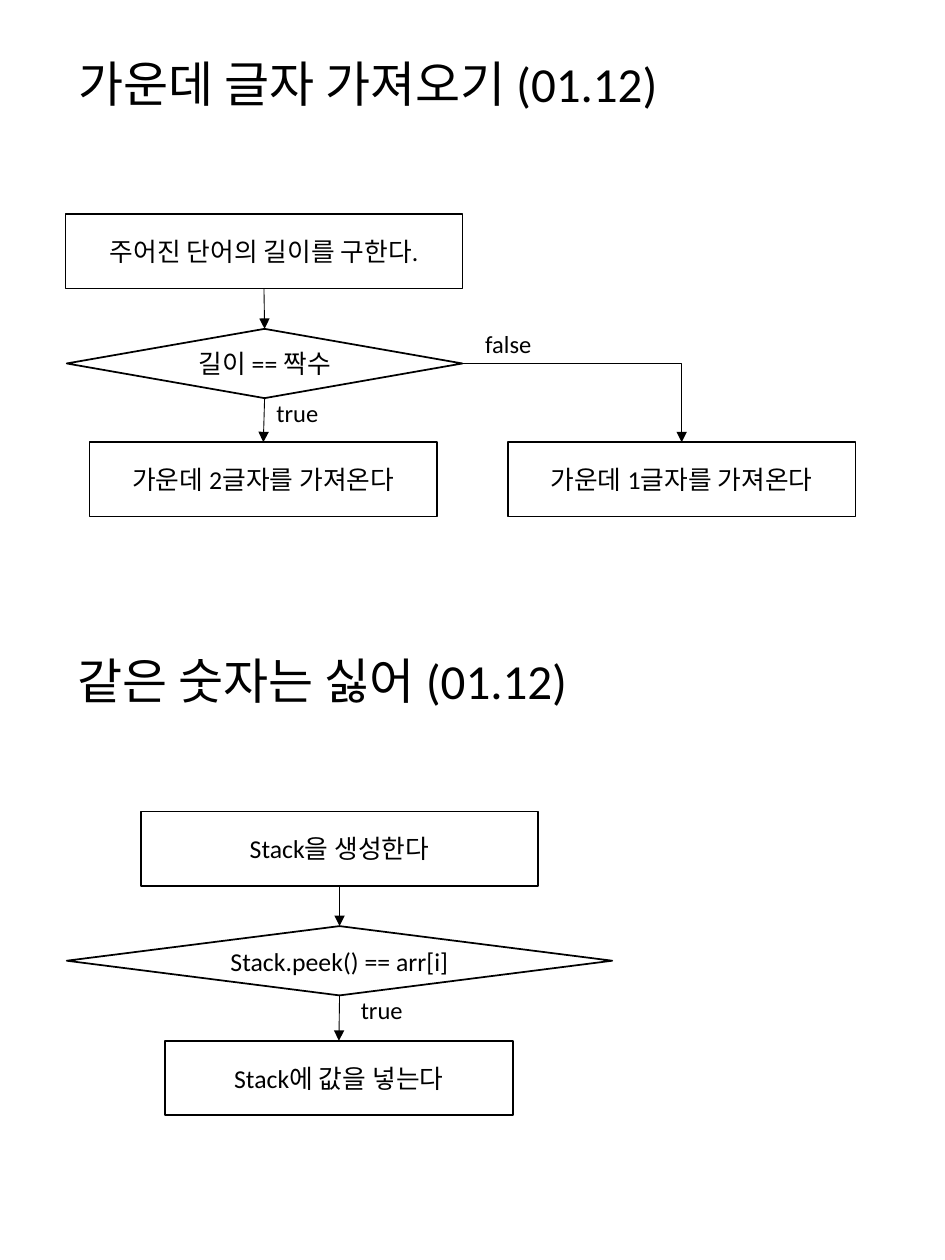
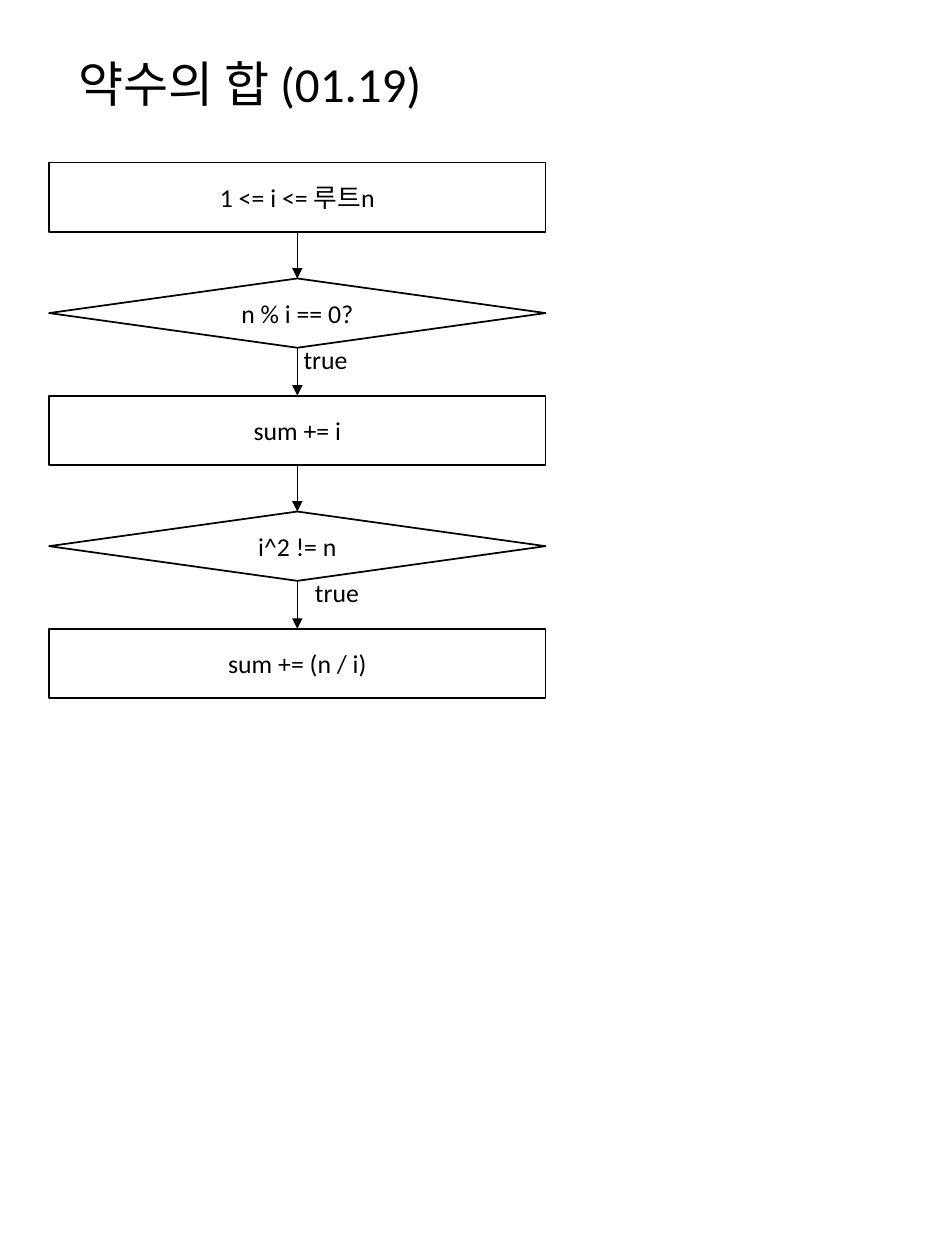
"""Build two slides of flow charts for coding exercises."""
import lxml.etree
import pptx
import pptx.dml.color
import pptx.enum.dml
import pptx.enum.shapes
import pptx.enum.text
import pptx.oxml.ns
import pptx.util

SCALE = 9144
BLACK = pptx.dml.color.RGBColor(0, 0, 0)
FONT = "Calibri"
BODY = 14.7
TITLE = (52, 38, 647, 61)
KIND = pptx.enum.shapes.MSO_SHAPE
LINK = pptx.enum.shapes.MSO_CONNECTOR
ALIGN = pptx.enum.text.PP_ALIGN
ANCHOR = pptx.enum.text.MSO_ANCHOR
FIT = pptx.enum.text.MSO_AUTO_SIZE
TOP, BOTTOM, RIGHT = 0, 2, 3


def px(*sizes):
    """Turn px lengths into EMU."""
    return [pptx.util.Emu(size * SCALE) for size in sizes]


def write(shape, text, size=BODY, align=ALIGN.CENTER, anchor=ANCHOR.MIDDLE,
          wrap=True, fit=FIT.NONE, inset=None, space=None):
    """Put formatted text into a shape."""
    frame = shape.text_frame
    frame.word_wrap = wrap
    frame.auto_size = fit
    frame.vertical_anchor = anchor
    if inset is not None:
        side = px(inset)[0]
        frame.margin_left = frame.margin_right = side
        frame.margin_top = frame.margin_bottom = side
    para = frame.paragraphs[0]
    para.text = text
    para.alignment = align
    if space:
        para.line_spacing = space
    para.font.size = pptx.util.Pt(size)
    para.font.name = FONT
    para.font.color.rgb = BLACK


def head(shape, text):
    """Format a shape as a heading."""
    write(shape, text, size=28, align=ALIGN.LEFT, space=0.9)


def start(deck, text):
    """Add a slide with its title."""
    slide = deck.slides.add_slide(deck.slide_layouts[5])
    title = slide.shapes.title
    title.left, title.top, title.width, title.height = px(*TITLE)
    head(title, text)
    return slide


def node(slide, kind, text, *area):
    """Add an outlined step or test."""
    shape = slide.shapes.add_shape(kind, *px(*area))
    shape.shadow.inherit = False
    shape.fill.background()
    shape.line.color.rgb = BLACK
    shape.line.width = pptx.util.Pt(1)
    write(shape, text)
    return shape


def arrow(slide, first, last, side=BOTTOM):
    """Join two nodes, with a bend when leaving from the right."""
    bent = side == RIGHT
    link = slide.shapes.add_connector(LINK.ELBOW if bent else LINK.STRAIGHT, 0, 0, 0, 0)
    link.begin_connect(first, side)
    link.end_connect(last, TOP)
    link.line.color.rgb = BLACK
    link.line.width = pptx.util.Pt(0.5)
    props = link._element.spPr
    if bent:
        props.find(pptx.oxml.ns.qn("a:prstGeom")).set("prst", "bentConnector2")
    tip = lxml.etree.SubElement(link.line._get_or_add_ln(), pptx.oxml.ns.qn("a:tailEnd"))
    tip.set("type", "triangle")
    lxml.etree.SubElement(props, pptx.oxml.ns.qn("a:effectLst"))


def chain(slide, nodes):
    """Join nodes from top to bottom."""
    for first, last in zip(nodes, nodes[1:]):
        arrow(slide, first, last)


def label(slide, text, *area, **style):
    """Add a branch label."""
    box = slide.shapes.add_textbox(*px(*area))
    write(box, text, anchor=ANCHOR.TOP, wrap=False, fit=FIT.SHAPE_TO_FIT_TEXT, **style)


def middle(slide):
    """Draw the chart for the middle letters."""
    count = node(slide, KIND.RECTANGLE, "주어진 단어의 길이를 구한다.", 52, 170, 315, 59)
    test = node(slide, KIND.DIAMOND, "길이 == 짝수", 53, 261, 314, 55)
    two, one = [
        node(slide, KIND.RECTANGLE, f"가운데 {num}글자를 가져온다", left, 351, 276, 59)
        for num, left in ((2, 71), (1, 403))
    ]
    chain(slide, [count, test, two])
    arrow(slide, test, one, RIGHT)
    label(slide, "true", 209, 311, 54, 34, size=14)
    label(slide, "false", 375, 256, 57, 34, size=14)


def unique(slide):
    """Draw the chart for the repeated numbers."""
    left, top, width, height = TITLE
    head(slide.shapes.add_textbox(*px(left, top + 474, width, height)), "같은 숫자는 싫어 (01.12)")
    chain(slide, [
        node(slide, KIND.RECTANGLE, "Stack을 생성한다", 112, 644, 315, 59),
        node(slide, KIND.DIAMOND, "Stack.peek() == arr[i]", 53, 735, 433, 55),
        node(slide, KIND.RECTANGLE, "Stack에 값을 넣는다", 131, 826, 276, 59),
    ])
    label(slide, "true", 276, 785, 54, 34, size=14)


def factor(slide):
    """Draw the chart for the sum of divisors."""
    steps = ["1 <= i <= 루트n", "n % i == 0?", "sum += i", "i^2 != n", "sum += (n / i)"]
    chain(slide, [
        node(slide, KIND.DIAMOND if row % 2 else KIND.RECTANGLE, text,
             39, 129 + row * 185 // 2, 394, 55)
        for row, text in enumerate(steps)
    ])
    for left, top in ((236, 268), (245, 453)):
        label(slide, "true", left, top, 46, 35, align=ALIGN.LEFT, inset=5)


def main():
    """Build and save the deck."""
    deck = pptx.Presentation()
    deck.slide_width, deck.slide_height = px(750, 1000)
    slide = start(deck, "가운데 글자 가져오기 (01.12)")
    middle(slide)
    unique(slide)
    factor(start(deck, "약수의 합 (01.19)"))
    deck.save("out.pptx")


if __name__ == "__main__":
    main()
